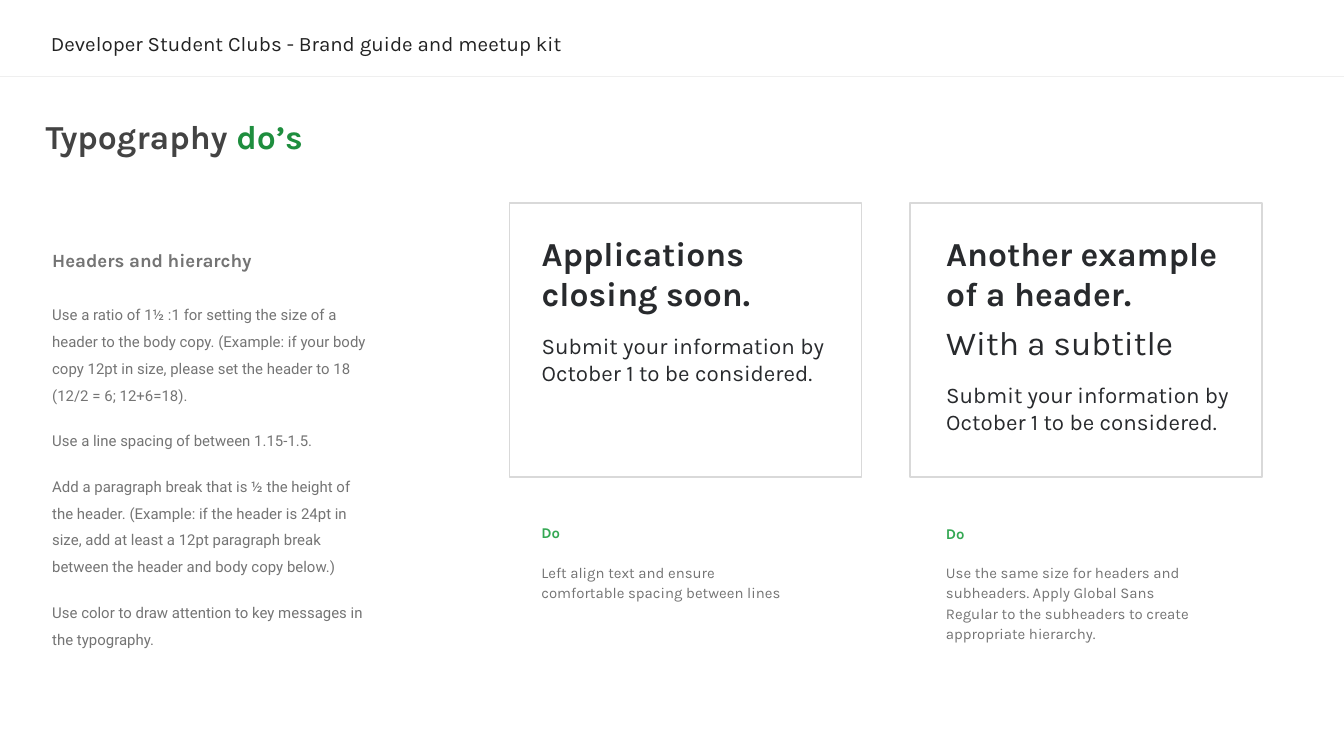
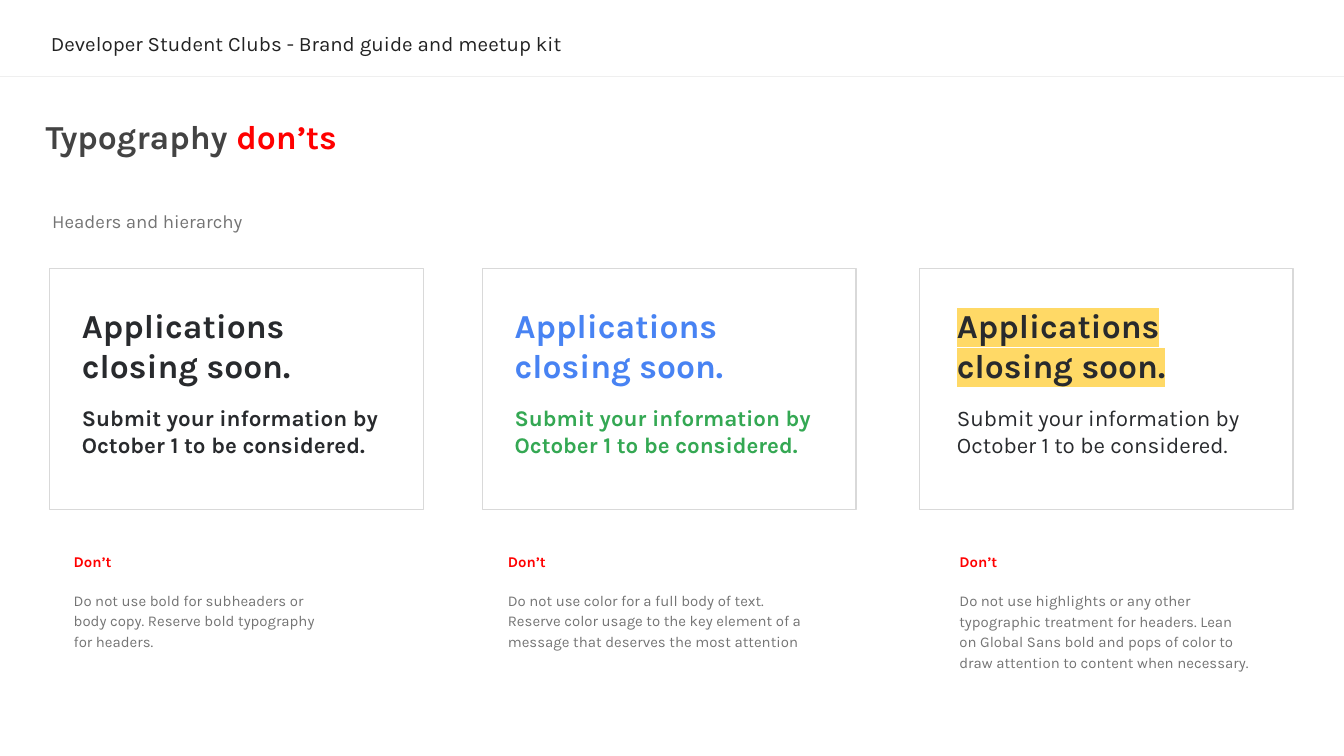
from dataclasses import dataclass

from lxml import etree
from pptx import Presentation
from pptx.dml.color import RGBColor
from pptx.enum.shapes import MSO_CONNECTOR as Connector, MSO_SHAPE as Shape
from pptx.enum.text import MSO_ANCHOR as Anchor, MSO_AUTO_SIZE as AutoSize
from pptx.oxml.ns import qn
from pptx.util import Inches, Pt

SLIDE_WIDTH = 10
SLIDE_HEIGHT = SLIDE_WIDTH * 9 / 16

HEADING_FONT, BODY_FONT = "Karla", "Roboto"
INK, GRAY, HEADER_INK, TITLE_INK = "282A2D", "747474", "222222", "434343"
GREEN, DARK_GREEN, BLUE, RED, YELLOW = "34A853", "1E8E3E", "4883F3", "FF0000", "FFD966"
CARD_LINE, RULE = "D9D9D9", "EFEFEF"

HEADLINE = "Applications closing soon."
MESSAGE = "Submit your information by October 1 to be considered."


@dataclass
class Run:
    text: str
    size: float
    color: str
    bold: bool = False
    font: str = HEADING_FONT
    highlight: str = ""


@dataclass
class Para:
    runs: list
    spacing: float = 1.0
    before: float = 0
    after: float = 0


@dataclass
class Example:
    """A sample card with its text and caption; x positions relate to the card."""
    left: float
    text_dx: float
    sample: list
    caption_dx: float
    caption_width: float
    caption_height: float
    caption: str


def color(value):
    return RGBColor.from_string(value)


def add_run(paragraph, content):
    run = paragraph.add_run()
    run.text = content.text
    font = run.font
    font.size, font.bold, font.name = Pt(content.size), content.bold, content.font
    font.color.rgb = color(content.color)
    if content.highlight:
        # The highlight has to follow the fill directly
        highlight = etree.Element(qn("a:highlight"))
        etree.SubElement(highlight, qn("a:srgbClr"), val=content.highlight)
        run.font._element.find(qn("a:solidFill")).addnext(highlight)


def add_text(slide, box, paras, inset_left=0.1):
    frame = slide.shapes.add_textbox(*map(Inches, box)).text_frame
    frame.word_wrap = True
    frame.auto_size = AutoSize.NONE
    frame.vertical_anchor = Anchor.TOP
    frame.margin_left = Inches(inset_left)
    frame.margin_top = frame.margin_right = frame.margin_bottom = Inches(0.1)
    for index, para in enumerate(paras):
        paragraph = frame.add_paragraph() if index else frame.paragraphs[0]
        paragraph.line_spacing = para.spacing
        paragraph.space_before = Pt(para.before)
        paragraph.space_after = Pt(para.after)
        for run in para.runs:
            add_run(paragraph, run)


def add_header(slide):
    """Running header with the rule below it."""
    text = "Developer Student Clubs - Brand guide and meetup kit"
    add_text(slide, (0.28, 0.1, 4.1, 0.68), [Para([Run(text, 11, HEADER_INK)], 1.15)])
    rule = slide.shapes.add_connector(
        Connector.STRAIGHT, Inches(0), Inches(0.57), Inches(SLIDE_WIDTH), Inches(0.57))
    rule.line.color.rgb = color(RULE)
    rule.line.width = Pt(0.75)
    etree.SubElement(rule._element.spPr, qn("a:effectLst"))


def add_title(slide, word, accent):
    add_text(slide, (0.24, 0.76, 5.61, 0.82), [
        Para([Run("Typography ", 18, TITLE_INK, True), Run(word, 18, accent, True)])])


def add_section_heading(slide, top, bold=False):
    add_text(slide, (0.29, top, 2.75, 0.44), [
        Para([Run("Headers and hierarchy", 10, GRAY, bold)], 1.15, after=10)])


def add_guidelines(slide, box, texts):
    add_text(slide, box, [
        Para([Run(text, 8, GRAY, font=BODY_FONT)], 1.5, before=10 if index else 0)
        for index, text in enumerate(texts)])


def add_example(slide, box, example, text_dy, caption_dy, verdict, accent):
    left, top, width, height = box
    # Outlined card
    card = slide.shapes.add_shape(Shape.RECTANGLE, *map(Inches, box))
    card.shadow.inherit = False
    card.fill.background()
    card.line.color.rgb = color(CARD_LINE)
    card.line.width = Pt(0.75)
    # Sample typography
    add_text(slide, (left + example.text_dx, top + text_dy, 2.36, 1.54),
             example.sample, inset_left=0)
    # Verdict and explanation
    add_text(slide, (left + example.caption_dx, top + caption_dy,
                     example.caption_width, example.caption_height), [
        Para([Run(verdict, 8, accent, True)], 1.15),
        Para([Run(example.caption, 8, GRAY)], 1.15, before=10, after=10)])


def sample(headline=HEADLINE, headline_color=INK, message_color=INK,
           message_bold=False, highlight="", subtitle=""):
    paras = [Para([Run(headline, 18, headline_color, True, highlight=highlight)])]
    if subtitle:
        paras.append(Para([Run(subtitle, 18, headline_color)], before=5))
    paras.append(Para([Run(MESSAGE, 12, message_color, message_bold)], before=10))
    return paras


def new_slide(presentation, title_word, accent):
    slide = presentation.slides.add_slide(presentation.slide_layouts[6])
    add_header(slide)
    add_title(slide, title_word, accent)
    return slide


def build_dos(presentation):
    slide = new_slide(presentation, "do’s", DARK_GREEN)
    add_section_heading(slide, 1.73, bold=True)
    add_guidelines(slide, (0.29, 2.11, 2.6, 2.97), [
        "Use a ratio of 1½ :1 for setting the size of a header to the body copy. "
        "(Example: if your body copy 12pt in size, please set the header to 18 "
        "(12/2 = 6; 12+6=18).",
        "Use a line spacing of between 1.15-1.5.",
        "Add a paragraph break that is ½ the height of the header. (Example: if the "
        "header is 24pt in size, add at least a 12pt paragraph break between the "
        "header and body copy below.)",
        "Use color to draw attention to key messages in the typography.",
    ])
    examples = [
        Example(3.79, 0.24, sample(), 0.14, 2.03, 0.54,
                "Left align text and ensure comfortable spacing between lines"),
        Example(6.77, 0.27,
                sample("Another example of a header.", subtitle="With a subtitle"),
                0.17, 2.03, 0.95,
                "Use the same size for headers and subheaders. Apply Global Sans "
                "Regular to the subheaders to create appropriate hierarchy."),
    ]
    for example in examples:
        add_example(slide, (example.left, 1.51, 2.62, 2.04), example,
                    0.12, 2.27, "Do", GREEN)


def build_donts(presentation):
    slide = new_slide(presentation, "don’ts", RED)
    add_section_heading(slide, 1.44)
    examples = [
        Example(0.37, 0.24, sample(message_bold=True), 0.08, 2.07, 0.54,
                "Do not use bold for subheaders or body copy. "
                "Reserve bold typography for headers."),
        Example(3.59, 0.24,
                sample(headline_color=BLUE, message_color=GREEN, message_bold=True),
                0.09, 2.39, 0.54,
                "Do not use color for a full body of text. Reserve color usage to the "
                "key element of a message that deserves the most attention"),
        Example(6.84, 0.28, sample(highlight=YELLOW), 0.2, 2.36, 0.82,
                "Do not use highlights or any other typographic treatment for headers. "
                "Lean on Global Sans bold and pops of color to draw attention to "
                "content when necessary."),
    ]
    for example in examples:
        add_example(slide, (example.left, 2, 2.78, 1.79), example,
                    0.17, 1.99, "Don’t", RED)


def main():
    presentation = Presentation()
    presentation.slide_width = Inches(SLIDE_WIDTH)
    presentation.slide_height = Inches(SLIDE_HEIGHT)
    build_dos(presentation)
    build_donts(presentation)
    presentation.save("out.pptx")


if __name__ == "__main__":
    main()
